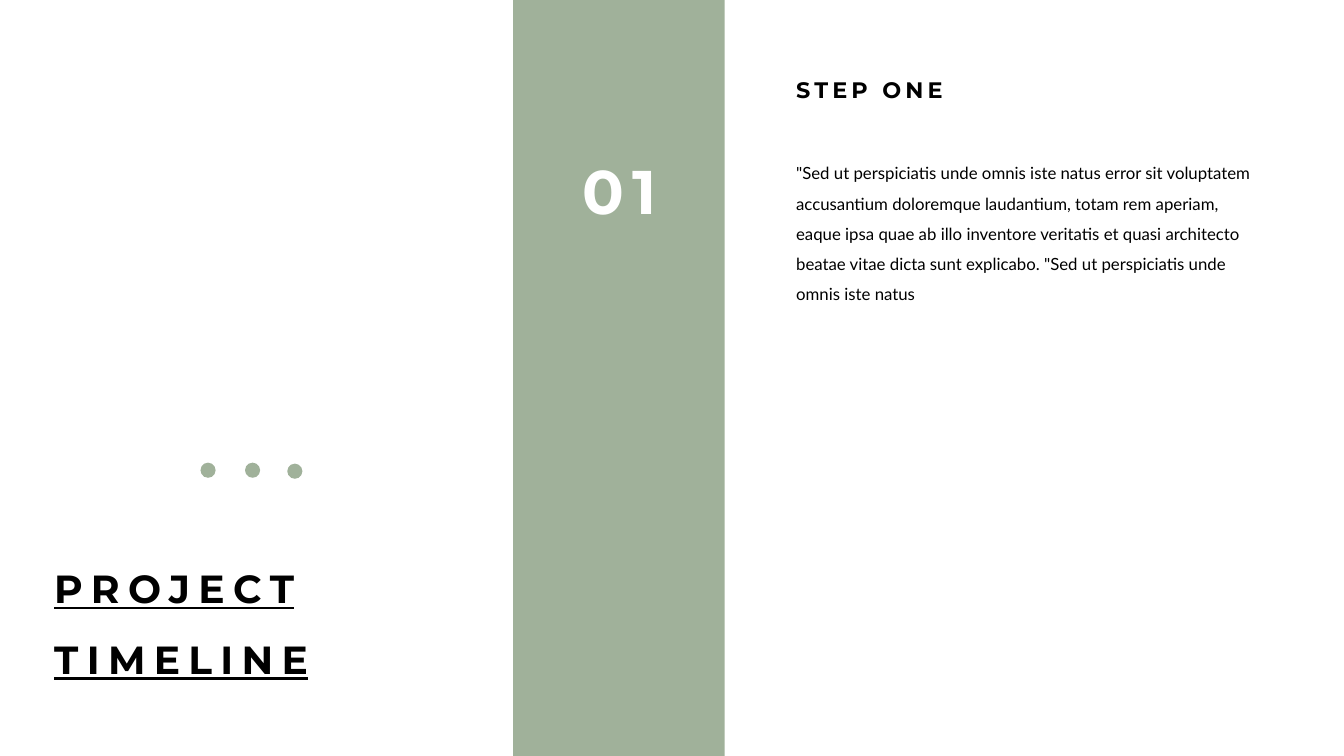
from pptx import Presentation
from pptx import util as u
from pptx.dml.color import RGBColor
from pptx.enum import shapes, text

SAGE, BLACK, WHITE = "A0B19A", "000000", "FFFFFF"
HEADING, BODY = "Montserrat", "Lato"


def color(value):
    return RGBColor.from_string(value)


def write(frame, content, size, font=HEADING, fill=BLACK, bold=True,
          underline=False, tracking=0, line=1.0, align=text.PP_ALIGN.LEFT):
    """Write each line of content as one formatted paragraph."""
    for index, words in enumerate(content.split("\n")):
        paragraph = frame.add_paragraph() if index else frame.paragraphs[0]
        paragraph.alignment = align
        paragraph.line_spacing = line
        run = paragraph.add_run()
        run.text = words
        run.font.name = font
        run.font.size = u.Pt(size)
        run.font.bold = bold
        run.font.underline = underline
        run.font.color.rgb = color(fill)
        if tracking:
            run.font._element.set("spc", str(tracking * 100))


class TimelineSlide:
    def __init__(self, deck, accent):
        self.slide = deck.slides.add_slide(deck.slide_layouts[6])
        self.accent = accent
        background = self.slide.background.fill
        background.solid()
        background.fore_color.rgb = color(WHITE)

    def block(self, kind, *box):
        block = self.slide.shapes.add_shape(kind, *map(u.Pt, box))
        block.shadow.inherit = False
        block.fill.solid()
        block.fill.fore_color.rgb = color(self.accent)
        block.line.fill.background()

    def label(self, content, *box, grow=False, **style):
        frame = self.slide.shapes.add_textbox(*map(u.Pt, box)).text_frame
        frame.word_wrap = True
        if grow:
            frame.auto_size = text.MSO_AUTO_SIZE.SHAPE_TO_FIT_TEXT
        write(frame, content, **style)


def main():
    deck = Presentation()
    deck.slide_width, deck.slide_height = u.Pt(960), u.Pt(540)
    timeline = TimelineSlide(deck, SAGE)

    # Central band
    timeline.block(shapes.MSO_SHAPE.RECTANGLE, 366.5, 0, 151.2, 540)

    # Title
    timeline.label("PROJECT\nTIMELINE", 31.7, 383, 316, 103, grow=True,
                   size=28, underline=True, tracking=6, line=1.5)

    # Step description
    timeline.label(
        '"Sed ut perspiciatis unde omnis iste natus error sit voluptatem '
        "accusantium doloremque laudantium, totam rem aperiam, eaque ipsa "
        "quae ab illo inventore veritatis et quasi architecto beatae vitae "
        'dicta sunt explicabo. "Sed ut perspiciatis unde omnis iste natus',
        561.6, 105.8, 345.6, 134, size=12, font=BODY, bold=False, line=1.5)
    timeline.label("STEP ONE", 561.6, 51.1, 333.4, 33.8, size=16, tracking=3)

    # Three dots above the title
    for left, top in ((143.2, 330.5), (175, 330.5), (205.2, 331.2)):
        timeline.block(shapes.MSO_SHAPE.OVAL, left, top, 10.8, 10.8)

    # Step number on the band
    timeline.label("01", 403.9, 105.8, 77, 60.5, grow=True, size=44,
                   fill=WHITE, tracking=6, align=text.PP_ALIGN.CENTER)

    deck.save("out.pptx")


if __name__ == "__main__":
    main()
